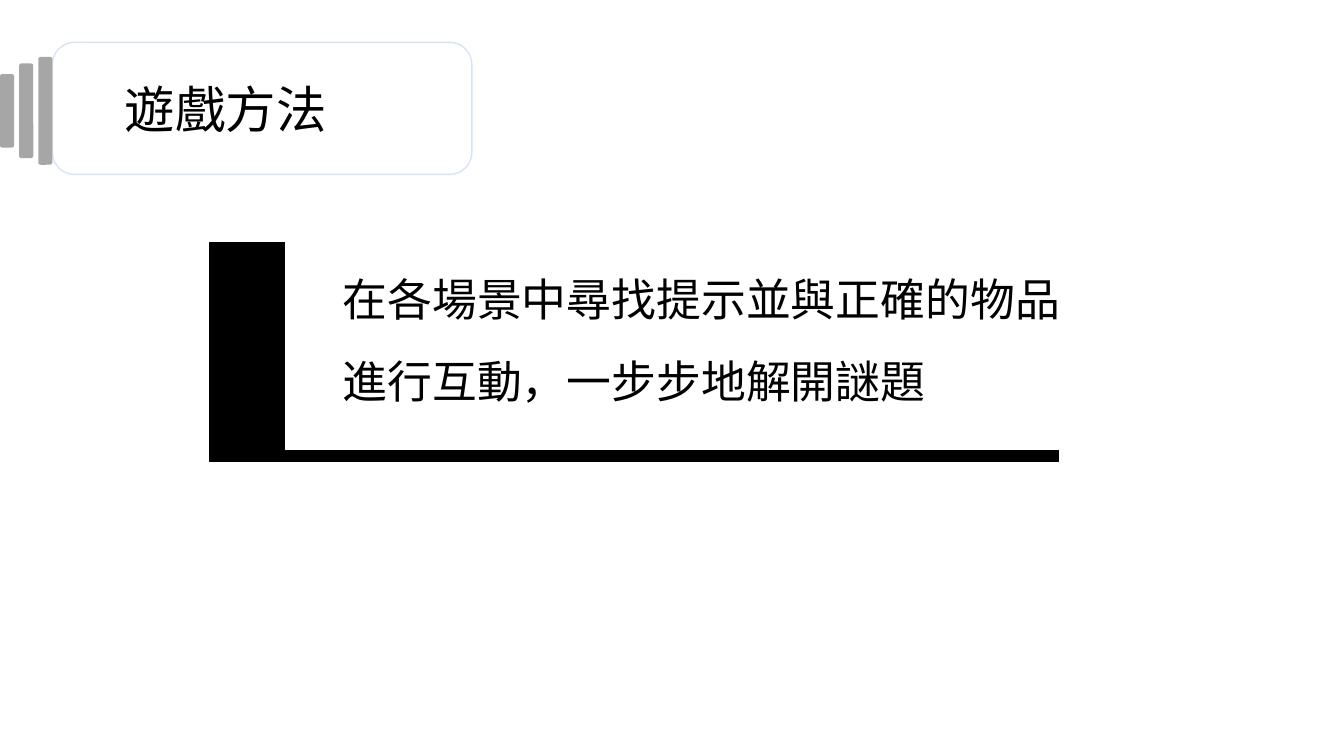
from lxml import etree
from pptx import Presentation
from pptx.dml.color import RGBColor
from pptx.enum.shapes import MSO_SHAPE as SHAPE
from pptx.enum.text import MSO_ANCHOR as ANCHOR
from pptx.oxml.ns import qn
from pptx.util import Inches, Pt

# Content
TITLE = ["遊戲方法"]
BODY = ["在各場景中尋找提示並與正確的物品", "進行互動，一步步地解開謎題"]

# Style
FONT = "Noto Sans CJK TC"
BLACK = RGBColor(0x00, 0x00, 0x00)
WHITE = RGBColor(0xFF, 0xFF, 0xFF)
GREY = RGBColor(0xA6, 0xA6, 0xA6)
PALE_BLUE = RGBColor(0xDA, 0xE3, 0xF3)

# Layout in inches
TITLE_CARD = (0.52, 0.42, 4.16, 1.31)
TITLE_BOX = (1.14, 0.49, 2.9, 1.24)
BAR_HEIGHTS = (0.73, 0.94, 1.07)
BAR_WIDTH, BAR_STEP, BAR_MIDDLE = 0.14, 0.19, 1.1
FRAME_OUTER = (2.08, 2.41, 8.42, 2.17)
FRAME_INNER = (2.83, 2.34, 7.67, 2.12)
BODY_BOX = (3.3, 2.53, 7.95, 1.75)

prs = Presentation()
prs.slide_width, prs.slide_height = Inches(13.33), Inches(7.5)
s = prs.slides.add_slide(prs.slide_layouts[6])


def add_block(kind, box, fill, line=None):
    sp = s.shapes.add_shape(kind, *map(Inches, box))
    sp.shadow.inherit = False
    sp.fill.solid()
    sp.fill.fore_color.rgb = fill
    if line is None:
        sp.line.fill.background()
    else:
        sp.line.color.rgb = line
        sp.line.width = Pt(1)


def add_text(box, lines, size, gap=0):
    tf = s.shapes.add_textbox(*map(Inches, box)).text_frame
    tf.word_wrap = True
    tf.vertical_anchor = ANCHOR.MIDDLE
    tf.text = "\n".join(lines)
    for i, p in enumerate(tf.paragraphs):
        p.line_spacing = 0.9
        p.space_before = Pt(gap if i else 0)
        for r in p.runs:
            r.font.size = Pt(size)
            r.font.name = FONT
            r.font.color.rgb = BLACK
            # Chinese glyphs take the East Asian typeface
            etree.SubElement(r.font._element, qn("a:ea"), typeface=FONT)


# Title card
add_block(SHAPE.ROUNDED_RECTANGLE, TITLE_CARD, WHITE, PALE_BLUE)
add_text(TITLE_BOX, TITLE, 36)

# Growing bars at the left edge
for i, height in enumerate(BAR_HEIGHTS):
    bar = (i * BAR_STEP, BAR_MIDDLE - height / 2, BAR_WIDTH, height)
    add_block(SHAPE.ROUNDED_RECTANGLE, bar, GREY)

# L-shaped frame: a white panel over a black one
add_block(SHAPE.RECTANGLE, FRAME_OUTER, BLACK, BLACK)
add_block(SHAPE.RECTANGLE, FRAME_INNER, WHITE, WHITE)

# Instructions
add_text(BODY_BOX, BODY, 32, gap=24)

prs.save("out.pptx")
